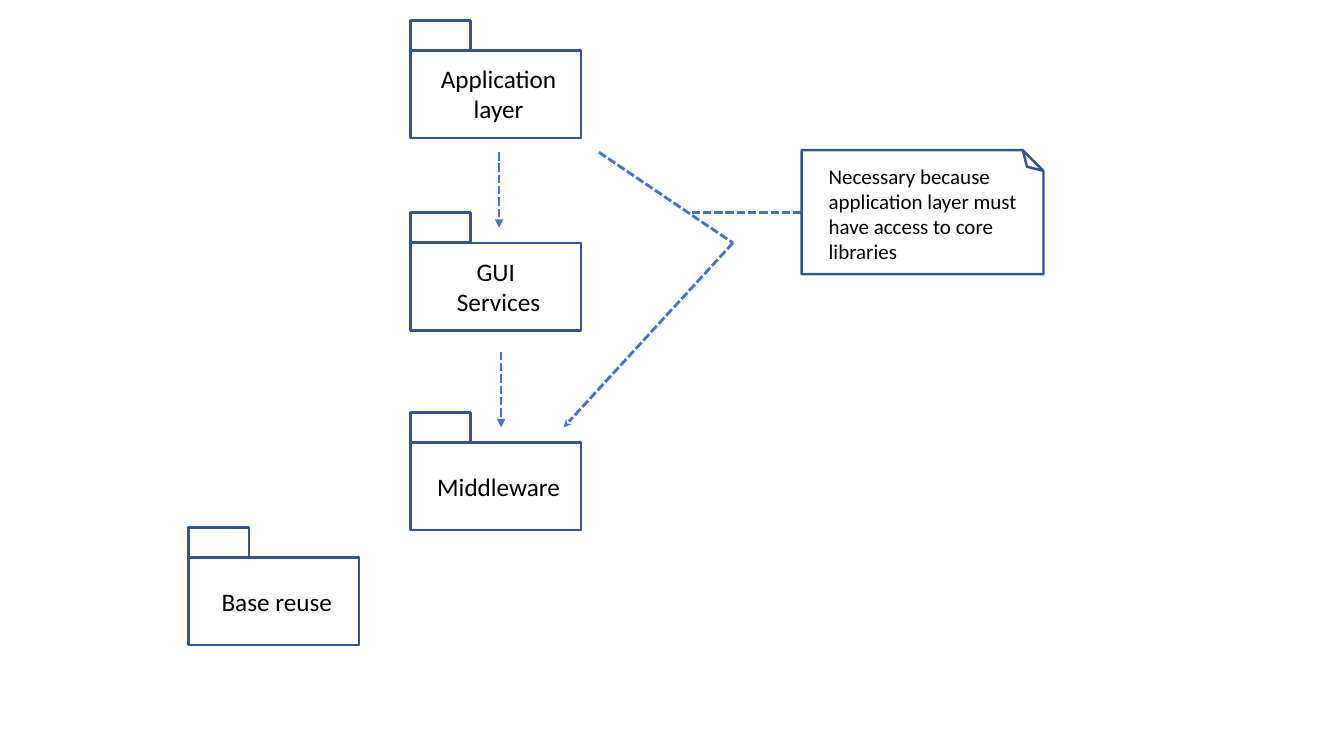
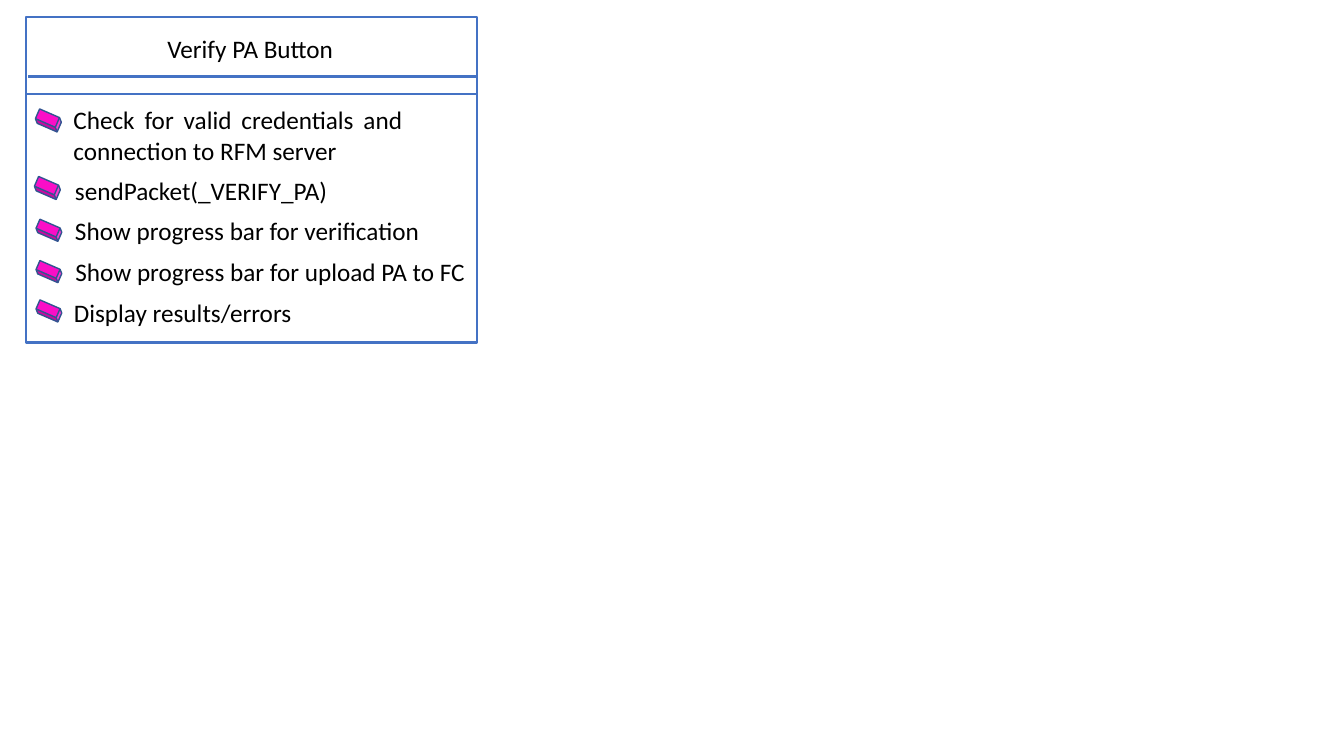
from dataclasses import dataclass
from typing import NamedTuple

from lxml.etree import SubElement
from pptx import Presentation
from pptx.dml.color import RGBColor
from pptx.enum.dml import MSO_LINE
from pptx.enum.shapes import MSO_CONNECTOR, MSO_SHAPE
from pptx.enum.text import MSO_AUTO_SIZE, PP_ALIGN
from pptx.oxml.ns import qn
from pptx.shapes.autoshape import Shape
from pptx.slide import Slide
from pptx.util import Inches, Pt


@dataclass(frozen=True)
class Theme:
    font: str = "Calibri"
    ink: RGBColor = RGBColor(0, 0, 0)
    edge: RGBColor = RGBColor(0x32, 0x54, 0x91)
    link: RGBColor = RGBColor(0x44, 0x72, 0xC4)
    mark: RGBColor = RGBColor(0xFA, 0x0E, 0xC7)
    body: float = 18
    note: float = 15
    thin: float = 1
    line: float = 1.75
    bold: float = 2


class Box(NamedTuple):
    left: float
    top: float
    width: float
    height: float


class Pack(NamedTuple):
    left: float
    top: float
    lines: tuple[str, ...]
    rows: int


class Link(NamedTuple):
    start: tuple[float, float]
    end: tuple[float, float]
    head: str = ""


class Item(NamedTuple):
    text: str
    box: Box
    cube: Box
    align: PP_ALIGN = PP_ALIGN.CENTER


THEME = Theme()
ROWS = 75
ONE, TWO = 4, 7.1
TILT = 113.5

deck = Presentation()
deck.slide_width, deck.slide_height = Inches(13.33), Inches(7.5)
CELL = deck.slide_height / ROWS


def grid(*cells: float) -> list[int]:
    return [round(cell * CELL) for cell in cells]


def add_form(slide: Slide, kind: MSO_SHAPE, box: Box, color: RGBColor,
             width: float, fill: RGBColor | None = None) -> Shape:
    form = slide.shapes.add_shape(kind, *grid(*box))
    form.shadow.inherit = False
    if fill is None:
        form.fill.background()
    else:
        form.fill.solid()
        form.fill.fore_color.rgb = fill
    form.line.color.rgb = color
    form.line.width = Pt(width)
    return form


def add_text(slide: Slide, box: Box, lines: tuple[str, ...],
             align: PP_ALIGN = PP_ALIGN.CENTER, size: float = THEME.body) -> None:
    frame = slide.shapes.add_textbox(*grid(*box)).text_frame
    frame.word_wrap = True
    frame.auto_size = MSO_AUTO_SIZE.SHAPE_TO_FIT_TEXT
    for place, line in enumerate(lines):
        para = frame.add_paragraph() if place else frame.paragraphs[0]
        para.alignment = align
        run = para.add_run()
        run.text = line
        run.font.name = THEME.font
        run.font.size = Pt(size)
        run.font.color.rgb = THEME.ink


def add_link(slide: Slide, link: Link, width: float, dash: bool) -> None:
    line = slide.shapes.add_connector(
        MSO_CONNECTOR.STRAIGHT, *grid(*link.start, *link.end))
    line.line.color.rgb = THEME.link
    line.line.width = Pt(width)
    if dash:
        line.line.dash_style = MSO_LINE.SQUARE_DOT
    props = line.element.spPr
    if link.head:
        SubElement(props.find(qn("a:ln")), qn("a:tailEnd"), type=link.head)
    SubElement(props, qn("a:effectLst"))


def add_pack(slide: Slide, pack: Pack) -> None:
    body = Box(pack.left, pack.top, 16.9, 8.7)
    tab = Box(pack.left, pack.top - 3, 6, 3)
    high = ONE if pack.rows == 1 else TWO
    text = Box(pack.left + 0.3, pack.top + (body.height - high) / 2, body.width, high)
    add_form(slide, MSO_SHAPE.RECTANGLE, body, THEME.edge, THEME.line)
    add_text(slide, text, pack.lines)
    add_form(slide, MSO_SHAPE.RECTANGLE, tab, THEME.edge, THEME.bold)


def add_note(slide: Slide, box: Box, text: str) -> None:
    note = add_form(slide, MSO_SHAPE.FOLDED_CORNER, box, THEME.edge, THEME.line)
    note.rotation = 180
    note.element.spPr.find(qn("a:xfrm")).set("flipH", "1")
    inner = Box(box.left + 1.7, box.top + 0.8, 23.9, 11.1)
    add_text(slide, inner, (text,), PP_ALIGN.LEFT, THEME.note)


def add_item(slide: Slide, item: Item) -> None:
    cube = add_form(slide, MSO_SHAPE.CUBE, item.cube, THEME.edge, THEME.thin, THEME.mark)
    cube.rotation = TILT
    add_text(slide, item.box, (item.text,), item.align)


PACKS = (
    Pack(40.7, 5, ("Application layer",), 2),
    Pack(40.7, 24.1, ("GUI ", "Services"), 2),
    Pack(40.7, 43.9, ("Middleware",), 1),
    Pack(18.7, 55.3, ("Base reuse",), 1),
)
BEND = (72.7, 24.1)
LINKS = (
    Link((49.5, 15.1), (49.5, 22.6), "triangle"),
    Link((49.7, 34.9), (49.7, 42.4), "triangle"),
    Link((59.4, 15.1), BEND),
    Link(BEND, (55.9, 42.4), "stealth"),
    Link((68.6, 21.1), (79.7, 21.1)),
)
RULES = (Link((2.8, 7.6), (47.4, 7.6)), Link((2.6, 9.3), (47.2, 9.3)))
ITEMS = (
    Item("Check for valid credentials and connection to RFM server ",
         Box(6.3, 9.9, 34.6, TWO), Box(4.1, 10.7, 1.4, 2.5), PP_ALIGN.JUSTIFY),
    Item("sendPacket(_VERIFY_PA)",
         Box(4.1, 16.9, 31.7, ONE), Box(4, 17.4, 1.4, 2.5)),
    Item("Show progress bar for verification",
         Box(1.4, 20.9, 46.2, ONE), Box(4.2, 21.6, 1.3, 2.5)),
    Item("Show progress bar for upload PA to FC",
         Box(3.7, 24.9, 46.2, ONE), Box(4.2, 25.7, 1.3, 2.5)),
    Item("Display results/errors ",
         Box(4.3, 29, 28.2, ONE), Box(4.2, 29.6, 1.3, 2.5)),
)


def draw_layers(slide: Slide) -> None:
    for pack in PACKS:
        add_pack(slide, pack)
    for link in LINKS:
        add_link(slide, link, THEME.bold, True)
    add_note(slide, Box(79.5, 14.9, 24, 12.3),
             "Necessary because application layer must have access to core libraries")


def draw_button(slide: Slide) -> None:
    add_form(slide, MSO_SHAPE.RECTANGLE, Box(2.6, 1.7, 44.7, 32.3), THEME.link, THEME.line)
    add_text(slide, Box(11.9, 2.8, 26.4, ONE), ("Verify PA Button ",))
    for rule in RULES:
        add_link(slide, rule, THEME.line, False)
    for item in ITEMS:
        add_item(slide, item)


blank = deck.slide_layouts[6]
for draw in (draw_layers, draw_button):
    draw(deck.slides.add_slide(blank))
deck.save("out.pptx")
